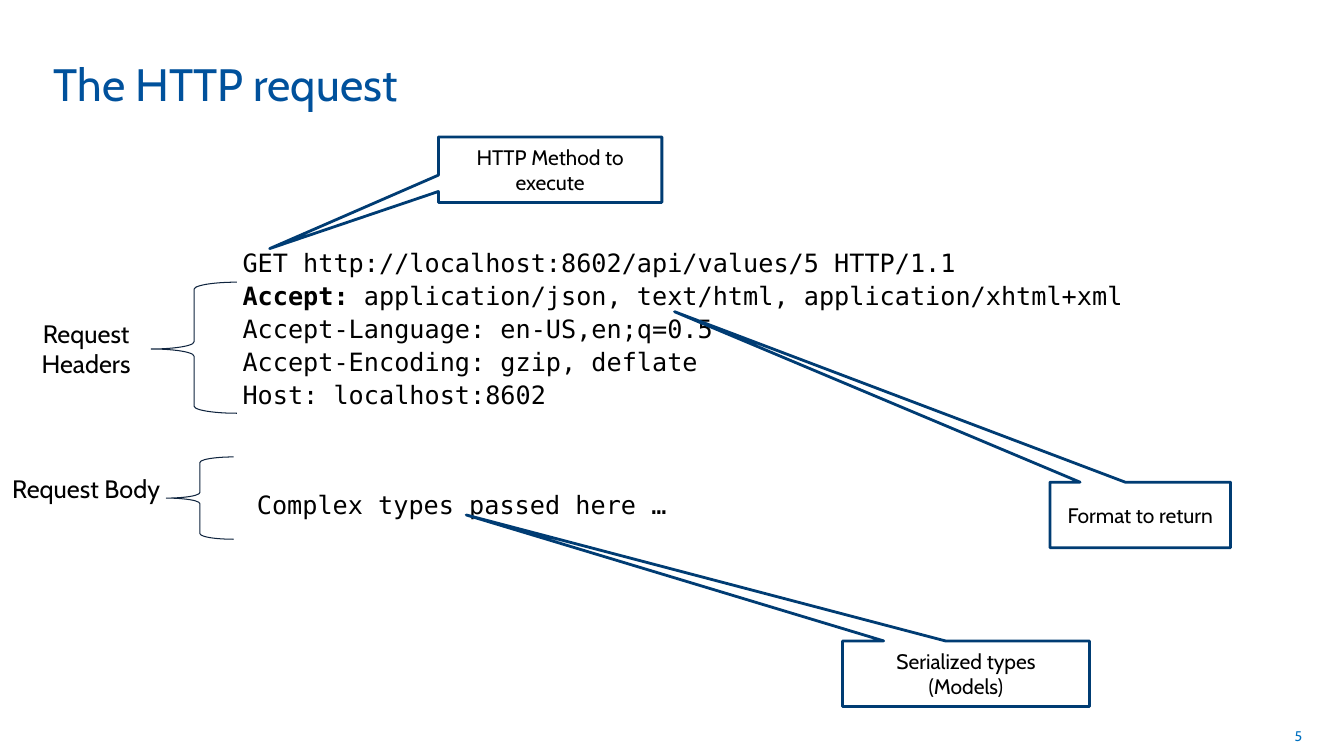
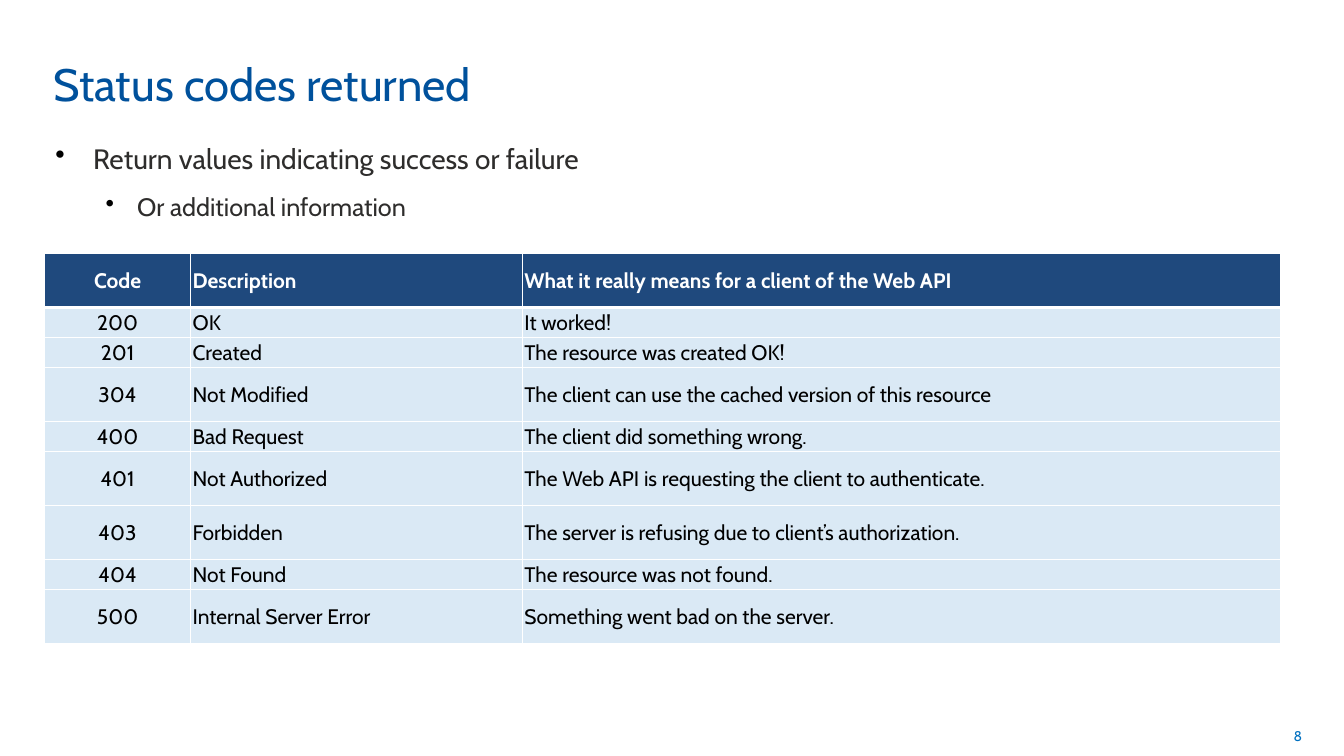
import lxml.etree
import pptx
import pptx.dml.color
import pptx.enum.shapes
import pptx.enum.text
import pptx.oxml
import pptx.oxml.ns
import pptx.util

COLUMNS, ROWS = 160, 90
SANS, MONO = "Cabin", "DejaVu Sans Mono"
BLACK, WHITE = "000000", "FFFFFF"
TITLE_BLUE, NUMBER_BLUE, BODY_GREY = "00519C", "0070C0", "2E2D2C"
CALLOUT_BLUE, BRACE_NAVY = "003C73", "0F243E"
HEADER_BLUE, ROW_BLUE = "1F497D", "DAE9F5"

ALIGN = pptx.enum.text.PP_ALIGN
ANCHOR = pptx.enum.text.MSO_ANCHOR
SHAPE = pptx.enum.shapes.MSO_SHAPE
qn = pptx.oxml.ns.qn


def colour(value):
    return pptx.dml.color.RGBColor.from_string(value)


def write(frame, paragraphs, size=18, font=SANS, color=BLACK, bold=False,
          align=ALIGN.LEFT, anchor=ANCHOR.TOP, line=None, before=0, after=0):
    frame.word_wrap = True
    frame.vertical_anchor = anchor
    if isinstance(paragraphs, str):
        paragraphs = [paragraphs]
    for index, content in enumerate(paragraphs):
        paragraph = frame.add_paragraph() if index else frame.paragraphs[0]
        paragraph.alignment = align
        paragraph.line_spacing = line
        paragraph.space_before = pptx.util.Pt(before)
        paragraph.space_after = pptx.util.Pt(after)
        pieces = [(content, bold)] if isinstance(content, str) else content
        for words, heavy in pieces:
            run = paragraph.add_run()
            run.text = words
            run.font.name = font
            run.font.size = pptx.util.Pt(size)
            run.font.bold = heavy
            run.font.color.rgb = colour(color)


class Deck:
    """Holds the shared style and the current slide, with lengths in grid cells."""

    def __init__(self):
        self.presentation = pptx.Presentation()
        self.presentation.slide_width = pptx.util.Inches(40 / 3)
        self.presentation.slide_height = pptx.util.Inches(7.5)
        self.slide = None

    def x(self, columns):
        return round(self.presentation.slide_width * columns / COLUMNS)

    def y(self, rows):
        return round(self.presentation.slide_height * rows / ROWS)

    def box(self, left, top, width, height):
        return self.x(left), self.y(top), self.x(width), self.y(height)

    def start(self, title, number):
        self.slide = self.presentation.slides.add_slide(
            self.presentation.slide_layouts[6])
        self.text(number, (118.9, 85.2, 37.3, 4.8), size=10,
                  color=NUMBER_BLUE, align=ALIGN.RIGHT, anchor=ANCHOR.MIDDLE)
        self.text(title, (5.2, 5.4, 119.8, 8.3), size=32.4,
                  color=TITLE_BLUE, anchor=ANCHOR.BOTTOM)

    def text(self, paragraphs, place, **style):
        frame = self.slide.shapes.add_textbox(*self.box(*place)).text_frame
        write(frame, paragraphs, **style)
        return frame

    def outline(self, kind, place, color, weight):
        shape = self.slide.shapes.add_shape(kind, *self.box(*place))
        shape.shadow.inherit = False
        shape.fill.background()
        shape.line.color.rgb = colour(color)
        shape.line.width = pptx.util.Pt(weight)
        return shape

    def callout(self, paragraphs, place, tip):
        left, top, width, height = place
        shape = self.outline(SHAPE.RECTANGULAR_CALLOUT, place, CALLOUT_BLUE, 2)
        shape.fill.solid()
        shape.fill.fore_color.rgb = colour(WHITE)
        shape.adjustments[0] = (tip[0] - left) / width - 0.5
        shape.adjustments[1] = (tip[1] - top) / height - 0.5
        write(shape.text_frame, paragraphs, size=15,
              align=ALIGN.CENTER, anchor=ANCHOR.MIDDLE)

    def brace(self, place, point=0.5):
        shape = self.outline(SHAPE.LEFT_BRACE, place, BRACE_NAVY, 0.75)
        shape.adjustments[1] = point

    def bullets(self, items, place):
        frame = self.text([words for words, *_ in items], place,
                          color=BODY_GREY, before=6, after=6)
        for paragraph, (_, level, size, indent, hang) in zip(frame.paragraphs, items):
            paragraph.level = level
            paragraph.runs[0].font.size = pptx.util.Pt(size)
            properties = paragraph._p.get_or_add_pPr()
            properties.set("marL", str(self.x(indent)))
            properties.set("indent", str(-self.x(hang)))
            marker = lxml.etree.SubElement(properties, qn("a:buClr"))
            lxml.etree.SubElement(marker, qn("a:srgbClr"), val=BLACK)
            lxml.etree.SubElement(properties, qn("a:buChar"), char="•")

    def borders(self, cell, top, bottom):
        properties = cell._tc.get_or_add_tcPr()
        weights = {"L": 1, "R": 1, "T": top, "B": bottom}
        for position, (side, weight) in enumerate(weights.items()):
            edge = properties.makeelement(
                qn("a:ln" + side), {"w": str(pptx.util.Pt(weight))})
            fill = lxml.etree.SubElement(edge, qn("a:solidFill"))
            lxml.etree.SubElement(fill, qn("a:srgbClr"), val=WHITE)
            properties.insert(position, edge)

    def table(self, records, left, top, widths, heights):
        table = self.slide.shapes.add_table(
            len(records), len(widths),
            *self.box(left, top, sum(widths), sum(heights))).table
        table.horz_banding = False
        for column, width in zip(table.columns, widths):
            column.width = self.x(width)
        for row, (record, height) in enumerate(zip(records, heights)):
            table.rows[row].height = self.y(height)
            header = row == 0
            for column, words in enumerate(record):
                cell = table.cell(row, column)
                cell.margin_left = cell.margin_right = pptx.util.Inches(0.02)
                cell.margin_top = cell.margin_bottom = pptx.util.Inches(0.02)
                cell.vertical_anchor = ANCHOR.MIDDLE
                cell.fill.solid()
                cell.fill.fore_color.rgb = colour(HEADER_BLUE if header else ROW_BLUE)
                write(cell.text_frame, words, size=15, bold=header,
                      color=WHITE if header else BLACK, anchor=ANCHOR.MIDDLE,
                      align=ALIGN.LEFT if column else ALIGN.CENTER)
                self.borders(cell, top=3 if row == 1 else 1, bottom=3 if header else 1)


def request_slide(deck):
    deck.start("The HTTP request", "5")
    request = [
        "GET http://localhost:8602/api/values/5 HTTP/1.1",
        [("Accept: ", True),
         ("application/json, text/html, application/xhtml+xml", False)],
        "Accept-Language: en-US,en;q=0.5",
        "Accept-Encoding: gzip, deflate",
        "Host: localhost:8602",
    ]
    deck.text(request, (27.7, 29.2, 131, 20.5), font=MONO, line=0.9, before=4.2)
    deck.brace((18, 33.6, 10.2, 15.6), point=0.51)
    deck.brace((19.8, 54.4, 8, 9.8))
    for label, top in (("Request Headers", 37.3), ("Request Body", 55.8)):
        deck.text(label, (0, top, 20.5, 8.5), align=ALIGN.CENTER)
    deck.text("Complex types passed here …", (29.4, 57, 72, 6),
              font=MONO, anchor=ANCHOR.MIDDLE)
    deck.callout("HTTP Method to execute", (52.2, 16.3, 26.6, 7.8), tip=(32.1, 29.6))
    deck.callout("Format to return", (125, 57.4, 21.5, 7.8), tip=(80.3, 37.1))
    deck.callout(["Serialized types", "(Models)"], (100.3, 76.3, 29.4, 7.8),
                 tip=(55.5, 61.3))


def status_slide(deck):
    deck.start("Status codes returned", "8")
    deck.bullets([("Return values indicating success or failure", 0, 20, 4.5, 4.5),
                  ("Or additional information", 1, 18, 9.75, 3.75)],
                 (5.4, 16.2, 149.6, 13.2))
    records = [
        ("Code", "Description", "What it really means for a client of the Web API"),
        ("200", "OK", "It worked!"),
        ("201", "Created", "The resource was created OK!"),
        ("304", "Not Modified", "The client can use the cached version of this resource"),
        ("400", "Bad Request", "The client did something wrong."),
        ("401", "Not Authorized", "The Web API is requesting the client to authenticate."),
        ("403", "Forbidden", "The server is refusing due to client’s authorization."),
        ("404", "Not Found", "The resource was not found."),
        ("500", "Internal Server Error", "Something went bad on the server."),
    ]
    compact = {"200", "201", "400", "404"}
    heights = [3.6 if code in compact else 6.4 for code, *_ in records]
    deck.table(records, 5.3, 30.2, (17.4, 39.5, 90.2), heights)


def main():
    deck = Deck()
    request_slide(deck)
    status_slide(deck)
    deck.presentation.save("out.pptx")


if __name__ == "__main__":
    main()
